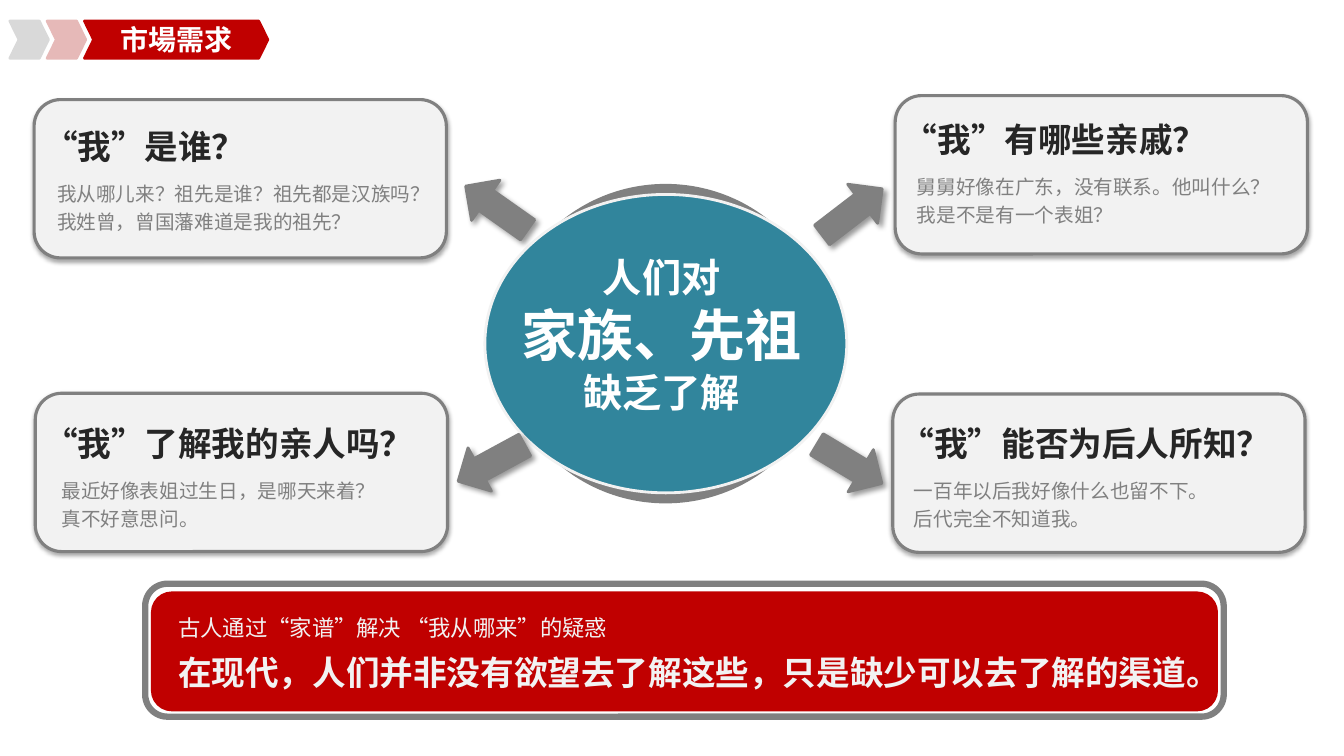
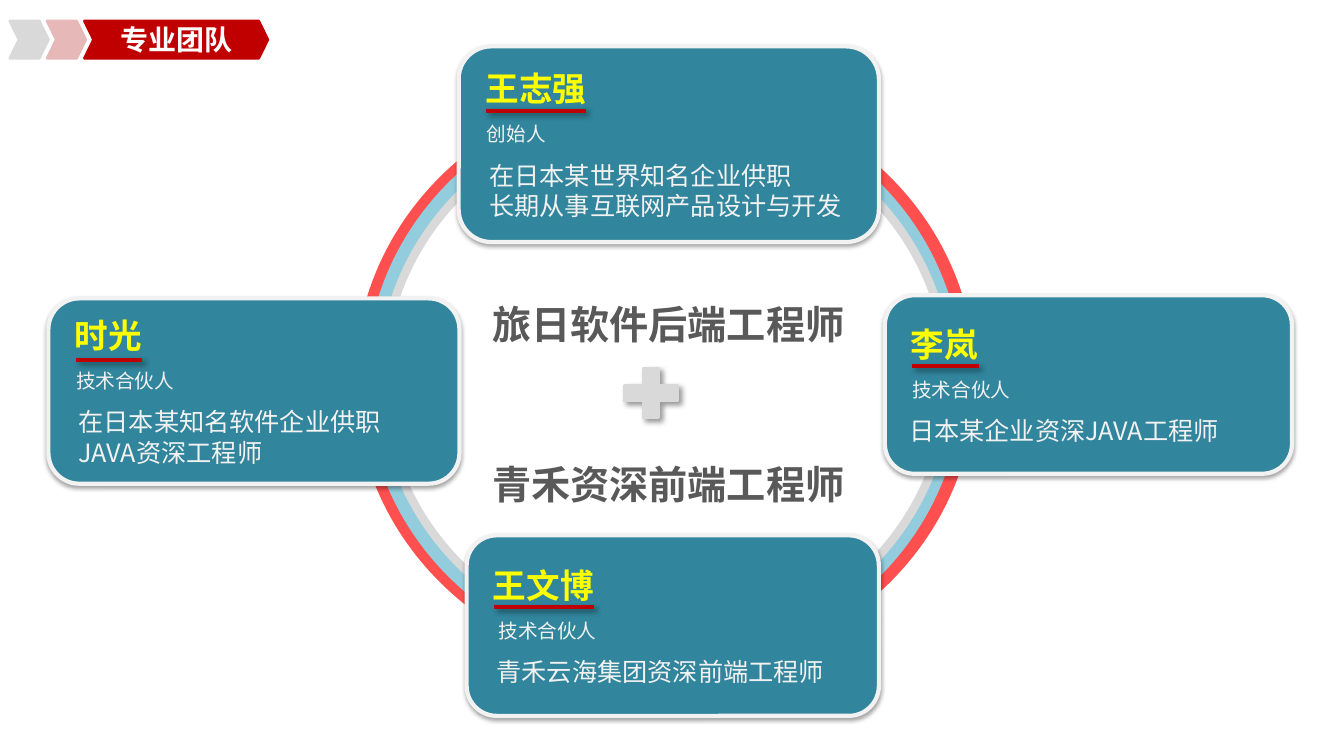
from lxml.etree import SubElement
from pptx import Presentation
from pptx.dml.color import RGBColor
from pptx.enum.shapes import MSO_CONNECTOR, MSO_SHAPE
from pptx.enum.text import MSO_ANCHOR, MSO_AUTO_SIZE, PP_ALIGN
from pptx.oxml.ns import qn
from pptx.util import Cm, Pt

FONT = "Noto Sans CJK SC"
WHITE = RGBColor(0xFF, 0xFF, 0xFF)
PALE = RGBColor(0xF2, 0xF2, 0xF2)
SILVER = RGBColor(0xD9, 0xD9, 0xD9)
GRAY = RGBColor(0x80, 0x80, 0x80)
SLATE = RGBColor(0x59, 0x59, 0x59)
INK = RGBColor(0x26, 0x26, 0x26)
RED = RGBColor(0xC0, 0x00, 0x00)
CORAL = RGBColor(0xFF, 0x4F, 0x4F)
PINK = RGBColor(0xE6, 0xB9, 0xB8)
TEAL = RGBColor(0x31, 0x85, 0x9C)
SKY = RGBColor(0x93, 0xCD, 0xDD)
YELLOW = RGBColor(0xFF, 0xFF, 0x00)

CARD_SHADOW = (35, 3.1, 1.8, 90)
DROP_SHADOW = (40, 4, 3, 45)


class Deck:
    def __init__(self):
        self.prs = Presentation()
        self.prs.slide_width = Cm(33.87)
        self.prs.slide_height = Cm(19.05)
        self.s = None

    def slide(self):
        self.s = self.prs.slides.add_slide(self.prs.slide_layouts[5])

    def header(self, text):
        for x, w, color in ((2.13, 4.62, RED), (1.19, 0.97, PINK), (0.25, 0.97, SILVER)):
            chevron = self.shape(MSO_SHAPE.CHEVRON, x, 0.53, w, 0.94, color, color)
            chevron.adjustments[0] = 0.245
        title = self.s.shapes.title
        title.left, title.top, title.width, title.height = Cm(2.13), Cm(0.4), Cm(4.62), Cm(1.2)
        tf = title.text_frame
        tf.auto_size = MSO_AUTO_SIZE.NONE
        tf.vertical_anchor = MSO_ANCHOR.MIDDLE
        tf.margin_left = tf.margin_right = tf.margin_top = tf.margin_bottom = 0
        self.paragraph(tf, text, 20, WHITE, bold=True, align=PP_ALIGN.CENTER)
        self.s.shapes.element.append(title.element)

    def shape(self, kind, x, y, w, h, fill, line, width=2, shadow=None, rotation=0):
        sp = self.s.shapes.add_shape(kind, Cm(x), Cm(y), Cm(w), Cm(h))
        sp.rotation = rotation
        if fill is None:
            sp.fill.background()
        else:
            sp.fill.solid()
            sp.fill.fore_color.rgb = fill
        sp.line.color.rgb = line
        sp.line.width = Pt(width)
        sp.shadow.inherit = False
        if shadow:
            self.shadow(sp.element.spPr.find(qn("a:effectLst")), shadow)
        return sp

    def shadow(self, effects, style):
        alpha, blur, dist, angle = style
        outer = SubElement(effects, qn("a:outerShdw"), blurRad=str(int(Pt(blur))),
                           dist=str(int(Pt(dist))), dir=str(angle * 60000),
                           algn="tl", rotWithShape="0")
        color = SubElement(outer, qn("a:srgbClr"), val="000000")
        SubElement(color, qn("a:alpha"), val=str(alpha * 1000))

    def underline(self, x, y, w):
        line = self.s.shapes.add_connector(MSO_CONNECTOR.STRAIGHT, Cm(x), Cm(y), Cm(x + w), Cm(y))
        line.line.color.rgb = RED
        line.line.width = Pt(3)
        self.shadow(SubElement(line.element.spPr, qn("a:effectLst")), DROP_SHADOW)

    def textbox(self, x, y, w, h):
        tf = self.s.shapes.add_textbox(Cm(x), Cm(y), Cm(w), Cm(h)).text_frame
        tf.word_wrap = True
        tf.auto_size = MSO_AUTO_SIZE.SHAPE_TO_FIT_TEXT
        return tf

    def paragraph(self, tf, text, size, color, bold=False, align=PP_ALIGN.LEFT,
                  after=0, spacing=None, indent=0):
        p = tf.paragraphs[0]
        if p.runs:
            p = tf.add_paragraph()
        p.alignment = align
        p.space_after = Pt(after)
        if spacing:
            p.line_spacing = Pt(spacing)
        if indent:
            pPr = p._p.get_or_add_pPr()
            pPr.set("marL", str(int(Cm(indent))))
            pPr.set("indent", "0")
        r = p.add_run()
        r.text = text
        r.font.name = FONT
        r.font.size = Pt(size)
        r.font.bold = bold
        r.font.color.rgb = color
        rPr = r._r.get_or_add_rPr()
        rPr.set("lang", "zh-CN")
        SubElement(rPr, qn("a:ea"), typeface=FONT)

    def question(self, x, y, text_x, text_y, indent, heading, lines):
        self.shape(MSO_SHAPE.ROUNDED_RECTANGLE, x, y, 10.39, 3.99, PALE, GRAY, 2.25, CARD_SHADOW)
        tf = self.textbox(text_x, text_y, 10.46, 3)
        self.paragraph(tf, heading, 24, INK, bold=True, after=8)
        for line in lines:
            self.paragraph(tf, line, 14, GRAY, spacing=20, indent=indent)

    def member(self, x, y, w, h, rule_y, name, role, lines, role_indent=0.22, line_indent=0.28):
        card = self.shape(MSO_SHAPE.ROUNDED_RECTANGLE, x, y, w, h, TEAL, PALE, 3, CARD_SHADOW)
        tf = card.text_frame
        tf.word_wrap = True
        tf.vertical_anchor = MSO_ANCHOR.MIDDLE
        self.paragraph(tf, name, 24, YELLOW, bold=True, after=10, indent=0.19)
        self.paragraph(tf, role, 14, PALE, after=10, indent=role_indent)
        for line in lines:
            self.paragraph(tf, line, 18, PALE, indent=line_indent)
        self.underline(x + 0.69, rule_y, 0.84 * len(name))


def market_slide(deck):
    deck.slide()
    deck.shape(MSO_SHAPE.ROUNDED_RECTANGLE, 3.66, 14.71, 27.18, 3.35, None, GRAY, 4.5)
    deck.shape(MSO_SHAPE.ROUNDED_RECTANGLE, 3.84, 14.94, 26.82, 2.95, RED, RED)
    tf = deck.textbox(4.24, 15.34, 26.9, 2.26)
    deck.paragraph(tf, "古人通过“家谱”解决 “我从哪来”的疑惑", 16, PALE, after=8)
    deck.paragraph(tf, "在现代，人们并非没有欲望去了解这些，只是缺少可以去了解的渠道。", 24, PALE, bold=True)

    deck.question(0.86, 2.51, 0.86, 3.05, 0.33, "“我”是谁？",
                  ("我从哪儿来？祖先是谁？祖先都是汉族吗？", "我姓曾，曾国藩难道是我的祖先？"))
    deck.question(22.56, 2.41, 22.53, 2.87, 0.33, "“我”有哪些亲戚？",
                  ("舅舅好像在广东，没有联系。他叫什么？", "我是不是有一个表姐？"))
    deck.question(0.89, 9.91, 0.86, 10.52, 0.44, "“我”了解我的亲人吗？",
                  ("最近好像表姐过生日，是哪天来着？", "真不好意思问。"))
    deck.question(22.5, 9.93, 22.45, 10.52, 0.33, "“我”能否为后人所知？",
                  ("一百年以后我好像什么也留不下。", "后代完全不知道我。"))

    deck.shape(MSO_SHAPE.OVAL, 12.7, 4.67, 8.15, 7.98, GRAY, GRAY)
    deck.shape(MSO_SHAPE.OVAL, 12.22, 4.9, 9.12, 7.52, TEAL, PALE)
    for x, y, angle in ((20.52, 4.72, 322.5), (11.56, 4.62, 215.2),
                        (11.43, 11.05, 151.5), (20.45, 11.07, 31)):
        deck.shape(MSO_SHAPE.RIGHT_ARROW, x, y, 1.91, 1.24, GRAY, GRAY,
                   shadow=DROP_SHADOW, rotation=angle)
    tf = deck.textbox(12.14, 6.27, 9.07, 5.2)
    for text, size in (("人们对", 28), ("家族、先祖", 40), ("缺乏了解", 28)):
        deck.paragraph(tf, text, size, WHITE, bold=True, align=PP_ALIGN.CENTER)
    deck.header("市場需求")


def team_slide(deck):
    deck.slide()
    for x, y, w, h, fill, line in ((9.04, 2.26, 15.44, 14.61, CORAL, CORAL),
                                   (9.32, 2.49, 14.83, 14.15, SKY, SKY),
                                   (9.63, 2.79, 14.27, 13.54, WHITE, SILVER)):
        deck.shape(MSO_SHAPE.OVAL, x, y, w, h, fill, line, 6)

    deck.member(11.56, 1.17, 10.59, 4.93, 2.79, "王志强", "创始人",
                ("在日本某世界知名企业供职", "长期从事互联网产品设计与开发"))
    deck.member(1.22, 7.52, 10.36, 4.67, 9.07, "时光", "技术合伙人",
                ("在日本某知名软件企业供职", "JAVA资深工程师"))
    deck.member(22.3, 7.44, 10.26, 4.5, 9.22, "李岚", "技术合伙人",
                ("日本某企业资深JAVA工程师",), line_indent=0.14)
    deck.member(11.76, 13.49, 10.39, 4.55, 15.3, "王文博", "技术合伙人",
                ("青禾云海集团资深前端工程师",), role_indent=0.33)

    tf = deck.textbox(11.76, 7.44, 10.16, 5.05)
    deck.paragraph(tf, "旅日软件后端工程师", 28, SLATE, bold=True, align=PP_ALIGN.CENTER, after=81)
    deck.paragraph(tf, "青禾资深前端工程师", 28, SLATE, bold=True, align=PP_ALIGN.CENTER)
    deck.shape(MSO_SHAPE.MATH_PLUS, 15.49, 9.07, 1.83, 1.68, SILVER, SILVER, shadow=DROP_SHADOW)
    deck.header("专业团队")


def main():
    deck = Deck()
    market_slide(deck)
    team_slide(deck)
    deck.prs.save("out.pptx")


if __name__ == "__main__":
    main()
